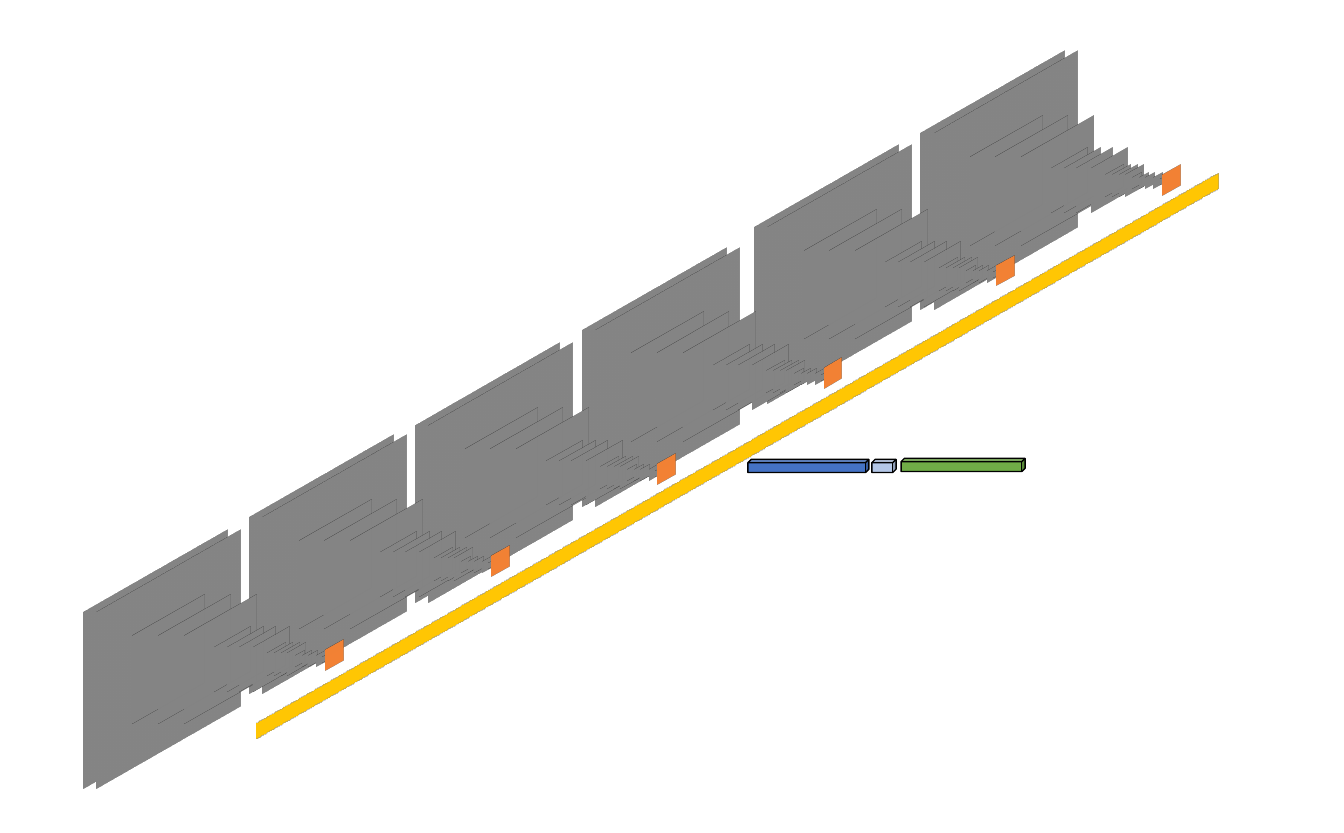
from lxml import etree
from pptx import Presentation
from pptx.dml.color import RGBColor
from pptx.enum import shapes as s
from pptx.oxml import ns
from pptx.util import Cm, Inches, Pt

COLORS = {
    "layer": "808080", "marker": "ED7D31", "bar": "FFC000", "outline": "000000",
    "blue": "4472C4", "pale_blue": "B4C7E7", "green": "70AD47",
}
# Left and top of each stack, and top of its marker, from far to near
STACKS = [
    (8.84, 0.72, 1.66), (7.19, 1.65, 2.56), (5.48, 2.67, 3.58),
    (3.83, 3.62, 4.53), (2.18, 4.53, 5.44), (0.53, 5.47, 6.38),
]
LAYER_WIDTH, LAYER_HEIGHT = 2.02, 2.14
# Horizontal offsets of the layers; each level is half the size of the one before
LEVELS = [
    (0, 0.13),
    (0.64, 0.89, 1.15),
    (1.52, 1.65, 1.77, 1.91),
    (2.09, 2.16, 2.23, 2.29),
    (2.38, 2.45, 2.51, 2.59),
    (2.66,),
]
MARKER_OFFSET, MARKER_SIZE = 2.66, 0.25


def add_block(parent, preset, box, color):
    shape = parent.shapes.add_shape(preset, *(Inches(length) for length in box))
    shape.shadow.inherit = False
    shape.fill.solid()
    shape.fill.fore_color.rgb = RGBColor.from_string(COLORS[color])
    shape.line.color.rgb = RGBColor.from_string(COLORS["outline"])
    shape.line.width = Pt(1)
    return shape


def add_isometric_panel(parent, box, color):
    """Add a rectangle turned to the right-hand face of an isometric view."""
    panel = add_block(parent, s.MSO_SHAPE.RECTANGLE, box, color)
    scene = etree.SubElement(panel.element.spPr, ns.qn("a:scene3d"))
    etree.SubElement(scene, ns.qn("a:camera"), prst="isometricRightUp")
    etree.SubElement(scene, ns.qn("a:lightRig"), rig="threePt", dir="t")


def add_stack(slide, left, top, marker_top):
    """Add one pyramid of shrinking layers with its marker at the tip."""
    group = slide.shapes.add_group_shape()
    for level, offsets in enumerate(LEVELS):
        width, height = LAYER_WIDTH / 2**level, LAYER_HEIGHT / 2**level
        layer_top = top + (LAYER_HEIGHT - height) / 2
        for offset in offsets:
            add_isometric_panel(group, (left + offset, layer_top, width, height), "layer")
    marker_box = (left + MARKER_OFFSET, marker_top, MARKER_SIZE, MARKER_SIZE)
    add_isometric_panel(slide, marker_box, "marker")


def add_segments(slide, left, top):
    """Add the row of three coloured bars."""
    for offset, rise, width, color in (
        (0, 0, 1.2, "blue"), (1.23, 0, 0.24, "pale_blue"), (1.52, 0.01, 1.23, "green"),
    ):
        box = (left + offset, top - rise, width, 0.13)
        add_block(slide, s.MSO_SHAPE.CUBE, box, color)


def main():
    presentation = Presentation()
    presentation.slide_width = Inches(40 / 3)
    presentation.slide_height = Cm(21)
    slide = presentation.slides.add_slide(presentation.slide_layouts[6])
    for stack in STACKS:
        add_stack(slide, *stack)
    add_isometric_panel(slide, (0.57, 4.43, 13.51, 0.19), "bar")
    add_segments(slide, 7.42, 4.56)
    presentation.save("out.pptx")


if __name__ == "__main__":
    main()
